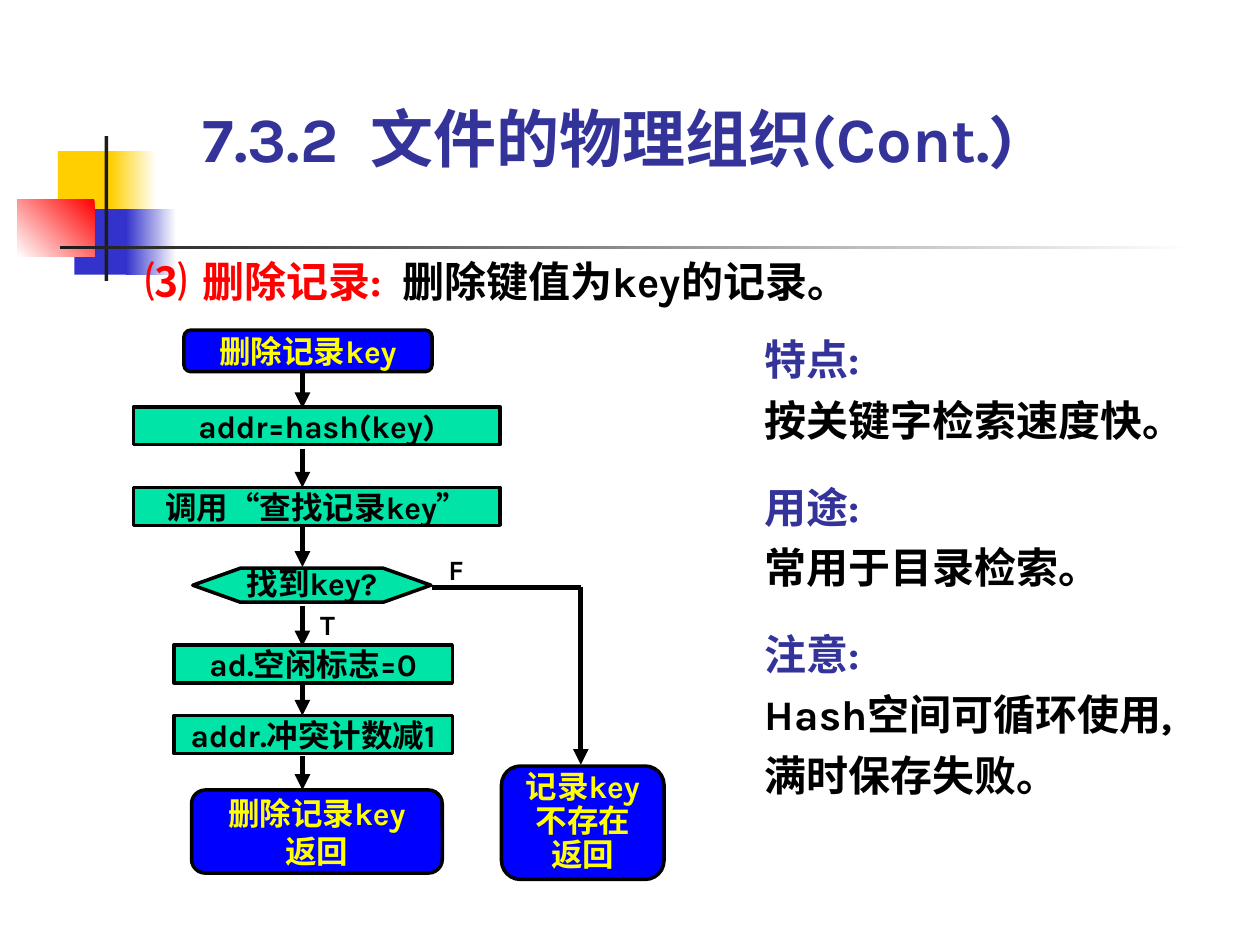
from lxml import etree
from pptx import Presentation
from pptx.dml.color import RGBColor
from pptx.enum.shapes import MSO_CONNECTOR, MSO_SHAPE
from pptx.enum.text import MSO_ANCHOR, PP_ALIGN
from pptx.oxml.ns import qn
from pptx.util import Inches, Pt

RECT = MSO_SHAPE.RECTANGLE
TERMINAL = MSO_SHAPE.FLOWCHART_ALTERNATE_PROCESS
DECISION = MSO_SHAPE.FLOWCHART_PREPARATION
STRAIGHT = MSO_CONNECTOR.STRAIGHT
TOP, MIDDLE, BOTTOM = MSO_ANCHOR.TOP, MSO_ANCHOR.MIDDLE, MSO_ANCHOR.BOTTOM
LEFT, CENTER = PP_ALIGN.LEFT, PP_ALIGN.CENTER

FONT = "Karla"
BLACK, WHITE, INDIGO, RED = "000000", "FFFFFF", "333399", "FF0000"
BLUE, YELLOW, GREEN = "0000FF", "FFFF00", "00E4A8"
GOLD, ROYAL, CHARCOAL = "FFCF01", "3333CC", "1C1C1C"

DECORATIONS = [
    ((0.46, 1.2, 0.48, 0.52), (GOLD,), 0),
    ((0.88, 1.2, 0.36, 0.52), (WHITE, GOLD), 180),
    ((0.59, 1.66, 0.46, 0.52), (ROYAL,), 0),
    ((1, 1.66, 0.4, 0.52), (WHITE, ROYAL), 180),
    ((0.14, 1.58, 0.61, 0.46), (RED, WHITE), 225),
    ((0.83, 1.08, 0.03, 1.15), (CHARCOAL,), 0),
    ((0.48, 1.95, 9, 0.03), (WHITE, CHARCOAL), 180),
]

TITLE = "7.3.2  文件的物理组织(Cont.)"
HEADING = [
    ("⑶", 24, "Arial", RED),
    ("  ", 18, "Arial", BLACK),
    ("删除记录:  ", 24, FONT, RED),
    ("删除键值为key的记录。", 24, FONT, BLACK),
]
NOTES = [
    ("特点:", ["按关键字检索速度快。"]),
    ("用途:", ["常用于目录检索。"]),
    ("注意:", ["Hash空间可循环使用,", "满时保存失败。"]),
]

NODES = [
    (TERMINAL, (1.46, 2.62, 1.97, 0.33), ["删除记录key"], 1),
    (RECT, (1.06, 3.23, 2.91, 0.3), ["addr=hash(key)"], 1),
    (RECT, (1.06, 3.87, 2.91, 0.3), ["调用“查找记录key”"], 1),
    (DECISION, (1.53, 4.51, 1.89, 0.27), ["找到key?"], 0.9),
    (RECT, (1.38, 5.12, 2.21, 0.3), ["ad.空闲标志=0"], 1),
    (RECT, (1.38, 5.68, 2.21, 0.3), ["addr.冲突计数减1"], 1),
    (TERMINAL, (1.52, 6.27, 1.99, 0.66), ["删除记录key", "返回"], 1),
    (TERMINAL, (3.98, 6.08, 1.29, 0.9), ["记录key", "不存在", "返回"], 0.9),
]
MAIN_X, BRANCH_X, BRANCH_Y = 2.4, 4.61, 4.66
MAIN_STEPS = [(2.93, 3.24), (3.56, 3.87), (4.18, 4.5), (4.81, 5.13), (5.44, 5.68), (6, 6.27)]
BRANCH_LABELS = [("F", 3.5, 4.44), ("T", 2.48, 4.87)]


def rgb(color):
    return RGBColor.from_string(color)


def inches(box):
    return [Inches(value) for value in box]


def style(font, size, color, name=FONT):
    font.name, font.size, font.bold = name, Pt(size), True
    font.color.rgb = rgb(color)


def write(shape, lines, size, spacing, align=LEFT, anchor=TOP, wrap=True, margins=(0, 0)):
    frame = shape.text_frame
    frame.word_wrap, frame.vertical_anchor = wrap, anchor
    frame.margin_left = frame.margin_right = Inches(margins[0])
    frame.margin_top = frame.margin_bottom = Inches(margins[1])
    frame.text = "\n".join(text for text, color in lines)
    for paragraph, (text, color) in zip(frame.paragraphs, lines):
        paragraph.alignment, paragraph.line_spacing = align, spacing
        for run in paragraph.runs:
            style(run.font, size, color)
    return frame


def add_block(shapes, kind, box, colors, angle=0):
    shape = shapes.add_shape(kind, *inches(box))
    shape.shadow.inherit = False
    shape.line.fill.background()
    if len(colors) == 1:
        shape.fill.solid()
        shape.fill.fore_color.rgb = rgb(colors[0])
    else:
        shape.fill.gradient()
        shape.fill.gradient_angle = angle
        for stop, color in zip(shape.fill.gradient_stops, colors):
            stop.color.rgb = rgb(color)
    return shape


def add_node(shapes, kind, box, lines, spacing):
    fill, color = (BLUE, YELLOW) if kind == TERMINAL else (GREEN, BLACK)
    shape = add_block(shapes, kind, box, (fill,))
    shape.line.color.rgb = rgb(BLACK)
    shape.line.width = Pt(2)
    anchor = TOP if kind == RECT else MIDDLE
    write(shape, [(line, color) for line in lines], 18, spacing, CENTER, anchor, wrap=False)


def add_line(shapes, start, end, arrow=True):
    connector = shapes.add_connector(STRAIGHT, *inches(start + end))
    connector.line.color.rgb = rgb(BLACK)
    connector.line.width = Pt(3)
    if arrow:
        etree.SubElement(connector.line._get_or_add_ln(), qn("a:tailEnd"), type="triangle")
    etree.SubElement(connector._element.spPr, qn("a:effectLst"))


def add_heading(shapes):
    box = shapes.add_textbox(*inches((1.06, 2.02, 6.14, 0.82)))
    frame = write(box, [("", BLACK)], 24, 0.9, margins=(0.1, 0.05))
    for text, size, name, color in HEADING:
        run = frame.paragraphs[0].add_run()
        run.text = text
        style(run.font, size, color, name)


def add_notes(shapes):
    lines = []
    for label, details in NOTES:
        lines += [(label, INDIGO)] + [(detail, BLACK) for detail in details]
    box = shapes.add_textbox(*inches((6.07, 2.57, 3.65, 3.78)))
    frame = write(box, lines, 24, 1.2)
    for paragraph, (text, color) in list(zip(frame.paragraphs, lines))[1:]:
        if color == INDIGO:
            paragraph.space_before = Pt(15)


def main():
    presentation = Presentation()
    presentation.slide_width, presentation.slide_height = Inches(10), Inches(7.5)
    slide = presentation.slides.add_slide(presentation.slide_layouts[6])
    shapes = slide.shapes

    for box, colors, angle in DECORATIONS:
        add_block(shapes, RECT, box, colors, angle)
    title = shapes.add_textbox(*inches((1.61, 0.88, 7.16, 0.51)))
    write(title, [(TITLE, INDIGO)], 36, 0.85, anchor=BOTTOM)
    add_heading(shapes)

    for node in NODES:
        add_node(shapes, *node)
    for top, bottom in MAIN_STEPS:
        add_line(shapes, (MAIN_X, top), (MAIN_X, bottom))
    add_line(shapes, (3.43, BRANCH_Y), (BRANCH_X, BRANCH_Y), arrow=False)
    add_line(shapes, (BRANCH_X, BRANCH_Y), (BRANCH_X, 6.07))
    for text, left, top in BRANCH_LABELS:
        label = shapes.add_textbox(*inches((left, top, 0.24, 0.21)))
        write(label, [(text, BLACK)], 16, 0.8, CENTER)

    add_notes(shapes)
    presentation.save("out.pptx")


if __name__ == "__main__":
    main()
